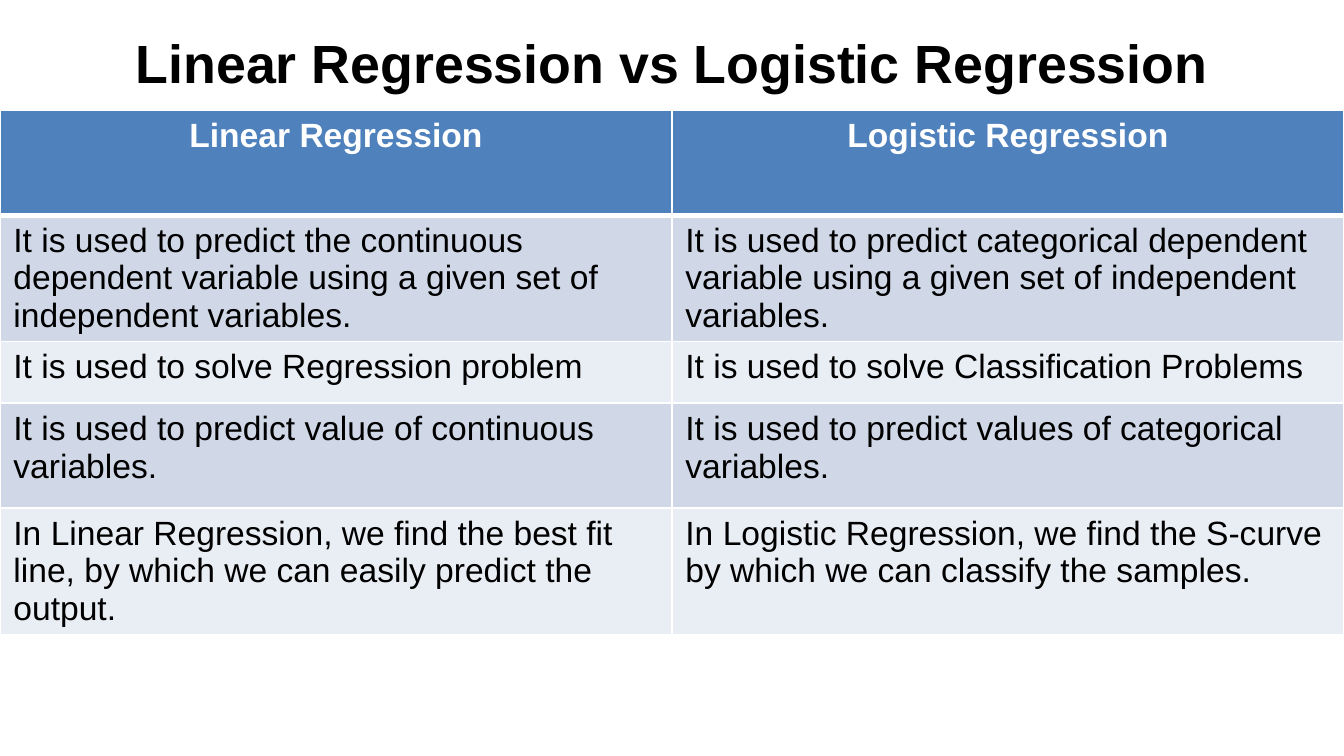
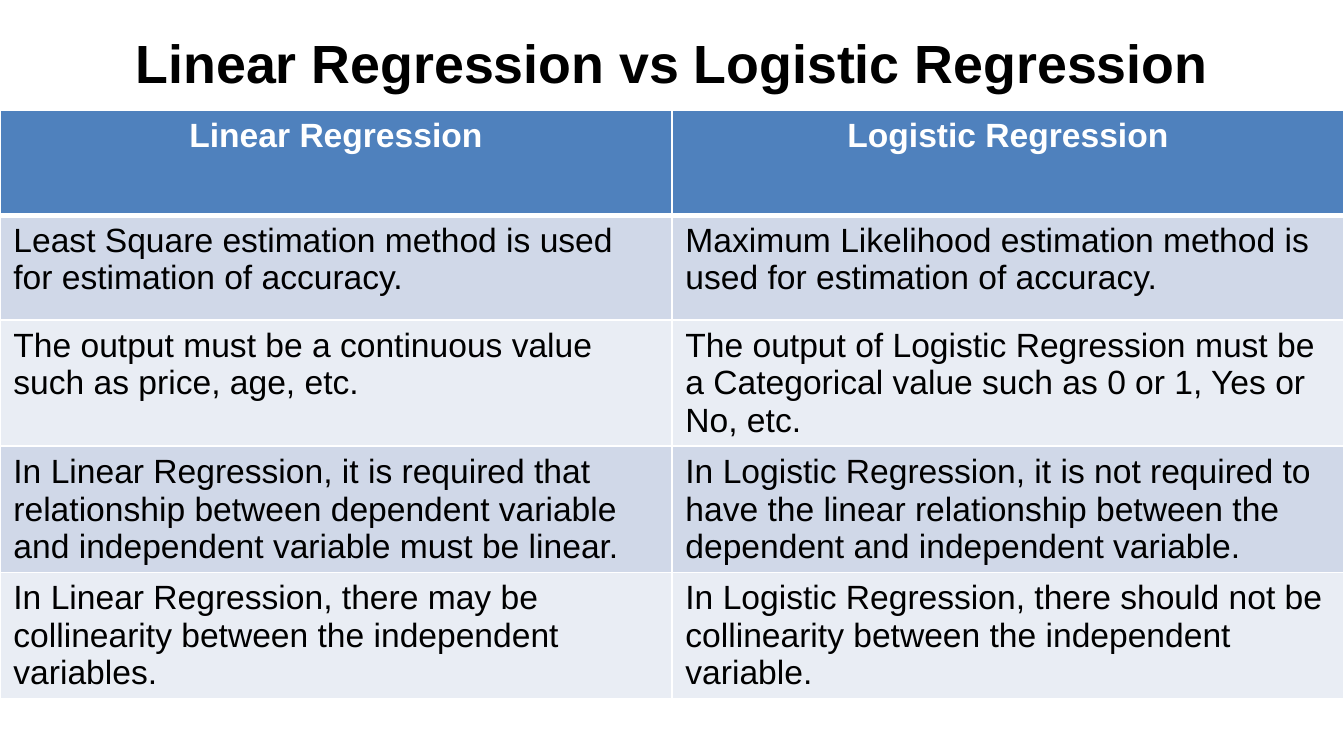
from lxml.etree import SubElement
from pptx import Presentation
from pptx.dml.color import RGBColor
from pptx.enum.text import MSO_ANCHOR, PP_ALIGN
from pptx.oxml.ns import qn
from pptx.util import Inches, Pt

WHITE = RGBColor(0xFF, 0xFF, 0xFF)
BLACK = RGBColor(0, 0, 0)
HEADER_BLUE = RGBColor(0x4F, 0x81, 0xBD)
BAND_DARK = RGBColor(0xD0, 0xD8, 0xE8)
BAND_LIGHT = RGBColor(0xE9, 0xED, 0xF4)

FONT = "Arial"
TITLE = "Linear Regression vs Logistic Regression"
HEADINGS = ("Linear Regression", "Logistic Regression")
TITLE_BOX = (0.5, -0.01, 9, 0.94)
ROW_HEIGHTS = (0.78, 0.78, 0.46, 0.78, 0.78)

PURPOSE = [
    ("It is used to predict the continuous dependent variable using a given set of independent variables.",
     "It is used to predict categorical dependent variable using a given set of independent variables."),
    ("It is used to solve Regression problem",
     "It is used to solve Classification Problems"),
    ("It is used to predict value of continuous variables.",
     "It is used to predict values of categorical variables."),
    ("In Linear Regression, we find the best fit line, by which we can easily predict the output.",
     "In Logistic Regression, we find the S-curve by which we can classify the samples."),
]
METHOD = [
    ("Least Square estimation method is used for estimation of accuracy.",
     "Maximum Likelihood estimation method is used for estimation of accuracy."),
    ("The output must be a continuous value such as price, age, etc.",
     "The output of Logistic Regression must be a Categorical value such as 0 or 1, Yes or No, etc."),
    ("In Linear Regression, it is required that relationship between dependent variable "
     "and independent variable must be linear.",
     "In Logistic Regression, it is not required to have the linear relationship between "
     "the dependent and independent variable."),
    ("In Linear Regression, there may be collinearity between the independent variables.",
     "In Logistic Regression, there should not be collinearity between the independent variable."),
]
SLIDES = [
    (PURPOSE, (0, 0.82, 10, 4.01)),
    (METHOD, (0, 0.82, 10, 4.55)),
]


def format_text(frame, size, color, bold, align):
    """Give every paragraph of a text frame the same look."""
    for para in frame.paragraphs:
        para.alignment = align
        for span in para.runs:
            span.font.name = FONT
            span.font.size = Pt(size)
            span.font.bold = bold
            span.font.color.rgb = color


def add_title(page, box):
    """Place and format the title placeholder."""
    title = page.shapes.title
    title.left, title.top, title.width, title.height = map(Inches, box)
    frame = title.text_frame
    frame.text = TITLE
    frame.word_wrap = True
    frame.vertical_anchor = MSO_ANCHOR.MIDDLE
    format_text(frame, 28.8, BLACK, True, PP_ALIGN.CENTER)


def set_borders(cell, top, bottom):
    """Draw white cell borders, with top and bottom widths in points."""
    properties = cell._tc.get_or_add_tcPr()
    for side, width in (("L", 1), ("R", 1), ("T", top), ("B", bottom)):
        line = SubElement(properties, qn(f"a:ln{side}"), w=str(Pt(width)))
        fill = SubElement(line, qn("a:solidFill"))
        SubElement(fill, qn("a:srgbClr"), val=str(WHITE))


def format_cell(cell, text, row):
    """Fill one cell as a heading or as part of a banded body row."""
    heading = row == 0
    set_borders(cell, 3 if row == 1 else 1, 3 if heading else 1)
    cell.fill.solid()
    if heading:
        cell.fill.fore_color.rgb = HEADER_BLUE
    else:
        cell.fill.fore_color.rgb = BAND_DARK if row % 2 else BAND_LIGHT
    cell.text_frame.text = text
    format_text(cell.text_frame, 18, WHITE if heading else BLACK, heading,
                PP_ALIGN.CENTER if heading else PP_ALIGN.LEFT)


def add_comparison(page, rows, box):
    """Add the two-column comparison table in the given box."""
    lines = [HEADINGS, *rows]
    holder = page.shapes.add_table(len(lines), len(HEADINGS), *map(Inches, box))
    table = holder.table
    for row, (texts, height) in enumerate(zip(lines, ROW_HEIGHTS)):
        table.rows[row].height = Inches(height)
        for column, text in enumerate(texts):
            format_cell(table.cell(row, column), text, row)
    holder.height = Inches(box[3])


def main():
    """Build and save the deck."""
    deck = Presentation()
    deck.slide_width = Inches(10)
    deck.slide_height = deck.slide_width * 9 // 16
    for rows, box in SLIDES:
        page = deck.slides.add_slide(deck.slide_layouts[5])
        add_title(page, TITLE_BOX)
        add_comparison(page, rows, box)
    deck.save("out.pptx")


if __name__ == "__main__":
    main()
